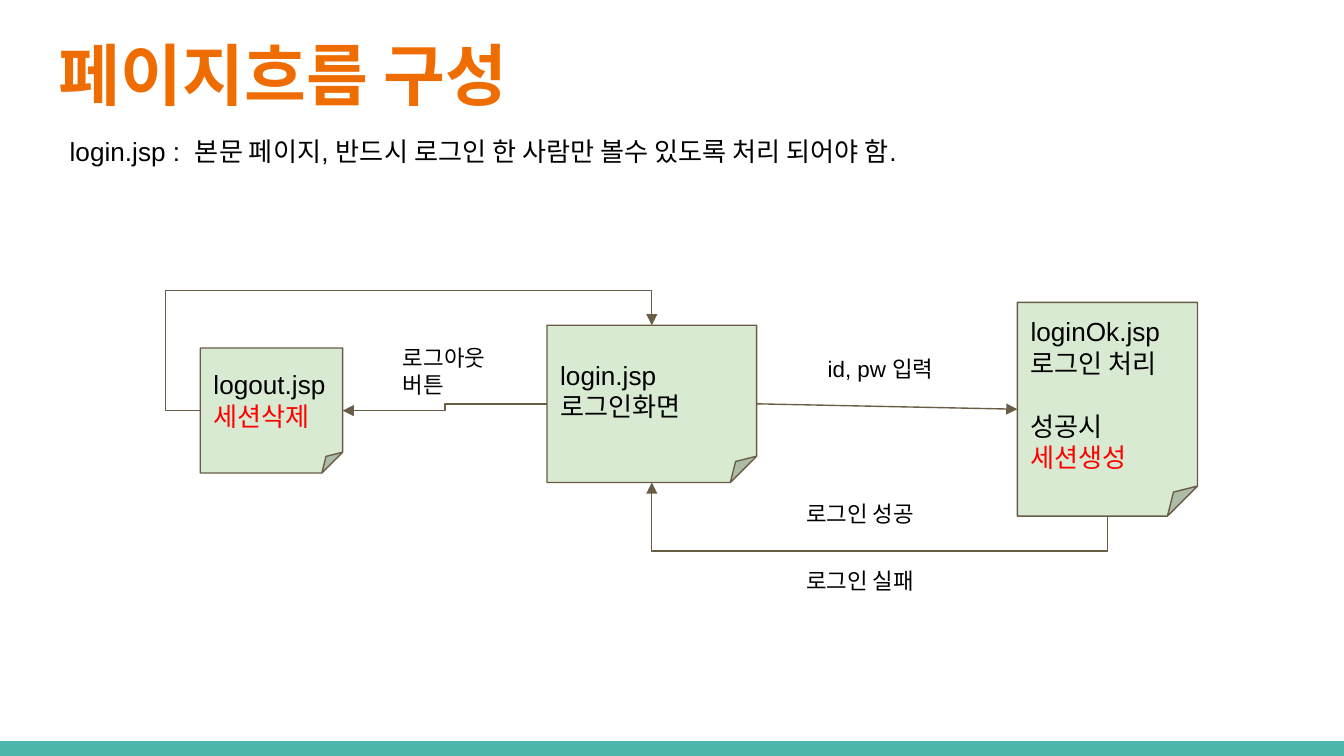
from lxml import etree
from pptx import Presentation
from pptx import util as u
from pptx.dml.color import RGBColor
from pptx.enum import shapes, text
from pptx.oxml.ns import qn

CELL = 0.1
COLS, ROWS = 100, 56.25
GAP = 2.6
COLORS = {"bar": "4DB6AC", "title": "EF6C00", "note": "D9EAD3",
          "line": "695D46", "text": "000000", "alert": "FF0000"}

TEXTS = [
    ((3.4, 1.5, 93.2, 7.7), ["페이지흐름 구성"], 36, "Roboto Condensed", "title", True),
    ((4.2, 9.1, 91.9, 8.7),
     ["login.jsp :  본문 페이지, 반드시 로그인 한 사람만 볼수 있도록 처리 되어야 함."],
     14, "Arial", "text", False),
]
LABELS = [
    ((60.6, 25.4, 11.8, 3.4), ["id, pw 입력"]),
    ((59, 41.2, 11.8, 3.4), ["로그인 실패"]),
    ((59, 36.2, 11.8, 3.4), ["로그인 성공"]),
    ((29, 24.6, 9.8, 5.2), ["로그아웃", "버튼"]),
]
TEXTS += [(box, lines, 12, "Arial", "text", False) for box, lines in LABELS]

NOTES = {
    "login": ((40.7, 24.2, 15.6, 11.7), ["login.jsp", "로그인화면"]),
    "ok": ((75.7, 22.5, 13.4, 15.9), ["loginOk.jsp", "로그인 처리", "성공시", "세션생성"]),
    "logout": ((14.9, 25.9, 10.6, 9.3), ["logout.jsp", "세션삭제"]),
}
ALERTS = {"세션생성", "세션삭제"}
SPACE_BEFORE = {"성공시": 17}


def cells(*values):
    return [u.Inches(v * CELL) for v in values]


def color(name):
    return RGBColor.from_string(COLORS[name])


def write(tf, lines, size, font, name, bold=False, anchor=text.MSO_ANCHOR.TOP):
    tf.word_wrap = True
    tf.vertical_anchor = anchor
    tf.margin_left = tf.margin_right = tf.margin_top = tf.margin_bottom = u.Inches(0.1)
    tf.text = "\n".join(lines)
    for p in tf.paragraphs:
        p.alignment = text.PP_ALIGN.LEFT
        if p.text in SPACE_BEFORE:
            p.space_before = u.Pt(SPACE_BEFORE[p.text])
        for r in p.runs:
            r.font.size, r.font.name, r.font.bold = u.Pt(size), font, bold
            r.font.color.rgb = color("alert" if r.text in ALERTS else name)


def add_box(s, kind, box, fill):
    sp = s.shapes.add_shape(kind, *cells(*box))
    sp.shadow.inherit = False
    sp.fill.solid()
    sp.fill.fore_color.rgb = color(fill)
    return sp


def side(note, where):
    x, y, w, h = NOTES[note][0]
    return {"left": (x, y + h / 2), "right": (x + w, y + h / 2),
            "top": (x + w / 2, y), "bottom": (x + w / 2, y + h)}[where]


def add_arrow(s, start, end, preset="line", adjusts=(), turned=False):
    if turned:
        cx, cy = (start[0] + end[0]) / 2, (start[1] + end[1]) / 2
        start, end = [(cx + y - cy, cy - x + cx) for x, y in (start, end)]
    kind = shapes.MSO_CONNECTOR.STRAIGHT if preset == "line" else shapes.MSO_CONNECTOR.ELBOW
    c = s.shapes.add_connector(kind, *cells(*start, *end))
    c.line.color.rgb = color("line")
    c.line.width = u.Pt(0.75)
    pr = c._element.spPr
    if turned:
        pr.find(qn("a:xfrm")).set("rot", str(90 * 60000))
    geom = pr.find(qn("a:prstGeom"))
    geom.set("prst", preset)
    guides = geom.find(qn("a:avLst"))
    for i, value in enumerate(adjusts, 1):
        etree.SubElement(guides, qn("a:gd"), name=f"adj{i}", fmla=f"val {round(value * 100000)}")
    etree.SubElement(c.line._get_or_add_ln(), qn("a:tailEnd"), type="triangle")
    etree.SubElement(pr, qn("a:effectLst"))


def main():
    prs = Presentation()
    prs.slide_width, prs.slide_height = cells(COLS, ROWS)
    s = prs.slides.add_slide(prs.slide_layouts[6])

    bar = add_box(s, shapes.MSO_SHAPE.RECTANGLE, (0, ROWS - 1.1, COLS, 1.1), "bar")
    bar.line.fill.background()

    for box, lines in NOTES.values():
        sp = add_box(s, shapes.MSO_SHAPE.FOLDED_CORNER, box, "note")
        sp.line.color.rgb = color("line")
        sp.line.width = u.Pt(0.75)
        write(sp.text_frame, lines, 14, "Arial", "text", anchor=text.MSO_ANCHOR.MIDDLE)

    add_arrow(s, side("login", "right"), side("ok", "left"))
    add_arrow(s, side("login", "left"), side("logout", "right"), "bentConnector3", [0.5])

    start, end = side("ok", "bottom"), side("login", "bottom")
    add_arrow(s, start, end, "bentConnector3", [-GAP / (start[1] - end[1])], turned=True)

    start, end = side("logout", "left"), side("login", "top")
    add_arrow(s, start, end, "bentConnector4",
              [-GAP / (end[0] - start[0]), 1 + GAP / (start[1] - end[1])])

    for box, *style in TEXTS:
        write(s.shapes.add_textbox(*cells(*box)).text_frame, *style)

    prs.save("out.pptx")


if __name__ == "__main__":
    main()
